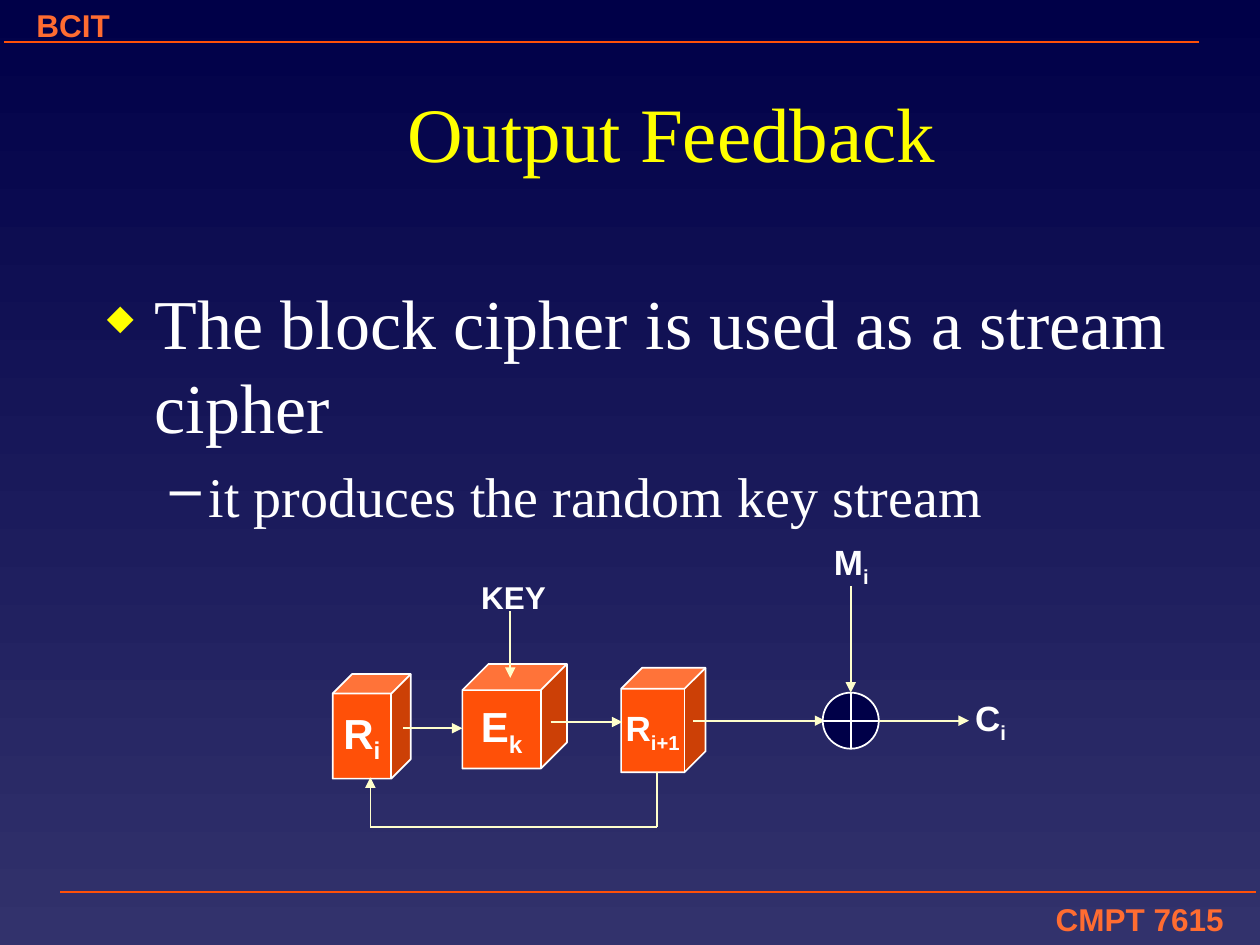
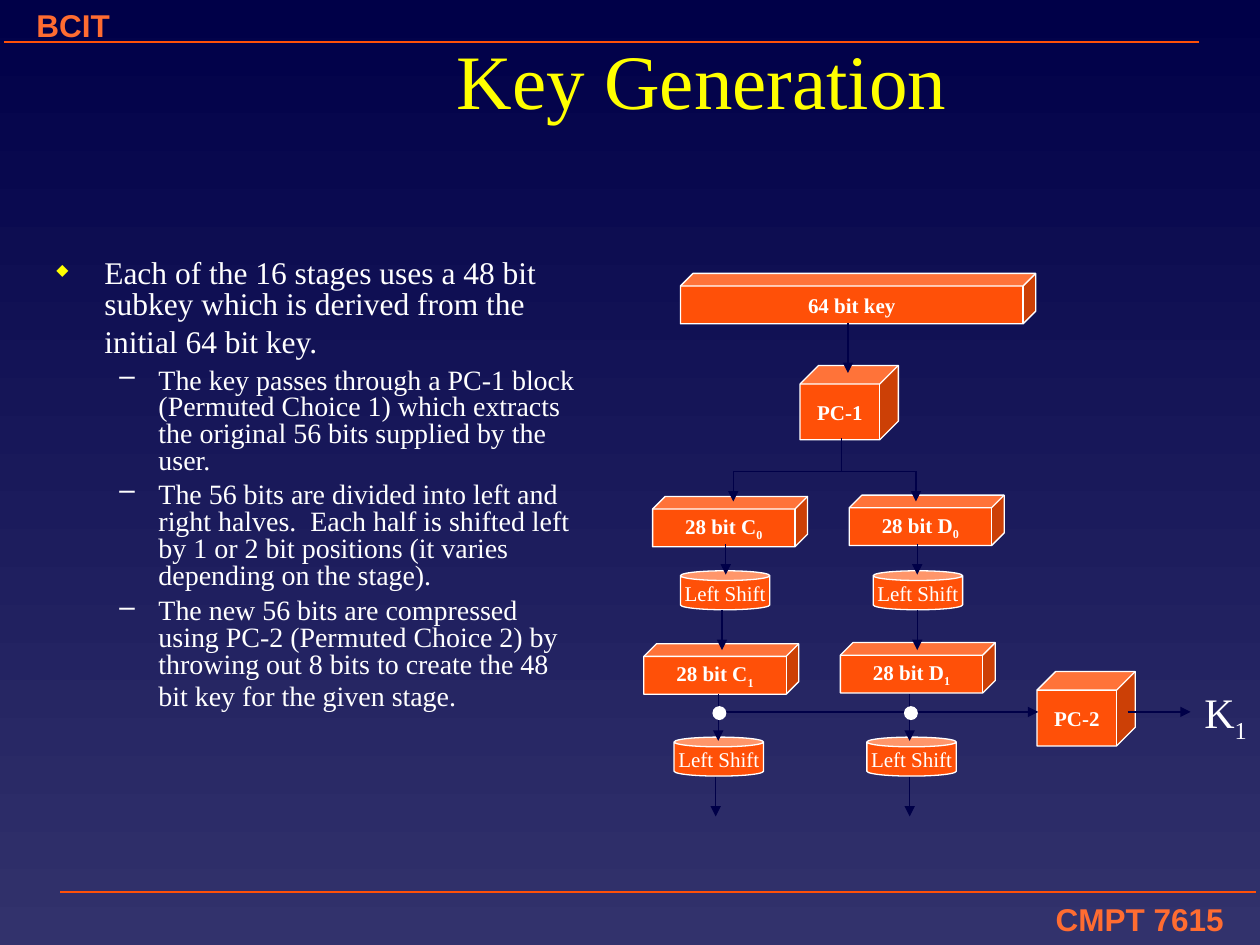
from collections import namedtuple

from lxml import etree
from pptx import Presentation
from pptx.dml.color import RGBColor
from pptx.enum.shapes import MSO_CONNECTOR, MSO_SHAPE
from pptx.enum.text import MSO_ANCHOR, MSO_AUTO_SIZE, PP_ALIGN
from pptx.oxml.ns import qn
from pptx.util import Inches, Pt

CUBE, CAN, OVAL = MSO_SHAPE.CUBE, MSO_SHAPE.CAN, MSO_SHAPE.OVAL
STRAIGHT = MSO_CONNECTOR.STRAIGHT
TOP, MIDDLE = MSO_ANCHOR.TOP, MSO_ANCHOR.MIDDLE
LEFT, CENTER, RIGHT = PP_ALIGN.LEFT, PP_ALIGN.CENTER, PP_ALIGN.RIGHT
GROW, FIXED = MSO_AUTO_SIZE.SHAPE_TO_FIT_TEXT, MSO_AUTO_SIZE.NONE

WIDTH, HEIGHT = Inches(10), Inches(7.5)
COLS, ROWS = 100, 75
COL, ROW = WIDTH / COLS, HEIGHT / ROWS

COLORS = {
    "navy": "000048", "dusk": "32326C", "orange": "FF5008", "coral": "FF6C31",
    "yellow": "FFFF00", "white": "FFFFFF", "cream": "FFFFCC",
}
SANS, SERIF = "Arial", "Times New Roman"

Box = namedtuple("Box", "x y w h")
SLIDE = Box(0, 0, COLS, ROWS)


def rgb(name):
    return RGBColor.from_string(COLORS[name])


def font(size, name=SERIF, bold=False):
    return {"name": name, "size": Pt(size), "bold": bold}


def place(box, x, y, w, h):
    return [round(v) for v in ((box.x + x) * COL, (box.y + y) * ROW, w * COL, h * ROW)]


def add_run(p, text, fmt, color="white", sub=False):
    r = p.add_run()
    r.text = text
    for key, value in fmt.items():
        setattr(r.font, key, value)
    r.font.color.rgb = rgb(color)
    if sub:
        r.font._element.set("baseline", "-25000")


def write(p, text, fmt, color="white", align=LEFT):
    p.alignment = align
    main, _, sub = text.partition("_")
    add_run(p, main, fmt, color)
    if sub:
        add_run(p, sub, fmt, color, sub=True)


def frame(sp, **values):
    for key, value in values.items():
        setattr(sp.text_frame, key, value)
    return sp.text_frame


def add_text(s, box, part, text, fmt, color="white", align=LEFT,
             wrap=False, anchor=TOP, size=GROW):
    sp = s.shapes.add_textbox(*place(box, *part))
    tf = frame(sp, word_wrap=wrap, vertical_anchor=anchor, auto_size=size)
    write(tf.paragraphs[0], text, fmt, color, align)


def add_shape(s, box, kind, part, text="", fmt=None, fill="orange", width=0.75):
    sp = s.shapes.add_shape(kind, *place(box, *part))
    sp.shadow.inherit = False
    sp.fill.solid()
    sp.fill.fore_color.rgb = rgb(fill)
    sp.line.color.rgb = rgb("white")
    sp.line.width = Pt(width)
    if text:
        tf = frame(sp, word_wrap=False, vertical_anchor=MIDDLE)
        write(tf.paragraphs[0], text, fmt, align=CENTER)


def add_line(s, box, ends, color, width=1.0, arrow=True):
    x1, y1, x2, y2 = ends
    start, end = place(box, x1, y1, 0, 0)[:2], place(box, x2, y2, 0, 0)[:2]
    cn = s.shapes.add_connector(STRAIGHT, *start, *end)
    cn.line.color.rgb = rgb(color)
    cn.line.width = Pt(width)
    if arrow:
        etree.SubElement(cn.line._get_or_add_ln(), qn("a:tailEnd"), type="triangle")
    etree.SubElement(cn._element.spPr, qn("a:effectLst"))


def set_bullet(p, level):
    char, color, margin, hang = (("◆", "yellow", 0.38, 0.38),
                                 ("–", "white", 0.81, 0.31))[level]
    p.level = level
    pPr = p._p.get_or_add_pPr()
    pPr.set("marL", str(Inches(margin)))
    pPr.set("indent", str(-Inches(hang)))
    clr = etree.SubElement(pPr, qn("a:buClr"))
    etree.SubElement(clr, qn("a:srgbClr"), val=COLORS[color])
    if level == 0:
        etree.SubElement(pPr, qn("a:buSzPct"), val="50000")
    etree.SubElement(pPr, qn("a:buChar"), char=char)


def add_body(s, box, items, spacing=1.0):
    tf = frame(s.shapes.add_textbox(*place(box, 0, 0, box.w, box.h)), word_wrap=True)
    for i, (level, size, before, text, end_size) in enumerate(items):
        p = tf.add_paragraph() if i else tf.paragraphs[0]
        set_bullet(p, level)
        p.line_spacing = spacing
        p.space_before = Pt(before)
        write(p, text, font(size))
        if end_size:
            add_run(p, " ", font(end_size))


def add_band(s, box, text, text_x, text_y, rule_y, rule_x, align):
    add_text(s, box, (text_x, text_y, 45.1, 4), text, font(18, SANS, True),
             "coral", align, wrap=True)
    add_line(s, box, (rule_x + 94.9, rule_y, rule_x, rule_y), "orange", arrow=False)


def base_slide(prs, title, title_box):
    s = prs.slides.add_slide(prs.slide_layouts[6])
    fill = s.background.fill
    fill.gradient()
    fill.gradient_angle = 270
    for stop, (position, color) in zip(fill.gradient_stops, ((0, "navy"), (1, "dusk"))):
        stop.position = position
        stop.color.rgb = rgb(color)
    add_band(s, SLIDE, "CMPT 7615", 53, 70.9, 70.82, 4.8, RIGHT)
    add_band(s, SLIDE, "BCIT", 1.9, 0, 3.34, 0.3, LEFT)
    add_text(s, title_box, (0, 0, title_box.w, title_box.h), title, font(44),
             "yellow", CENTER, wrap=True, anchor=MIDDLE, size=FIXED)
    return s


def feedback_loop(s, box):
    for text, size, part in (
        ("R_i", 24, (0, 11.1, 6.2, 8.3)),
        ("E_k", 24, (10.3, 10.3, 8.3, 8.3)),
        ("R_i+1", 20, (22.9, 10.6, 6.7, 8.3)),
    ):
        add_shape(s, box, CUBE, part, text, font(size, SANS, True), width=1)
    for ends in ((5.6, 15.4, 10.3, 15.4), (17.3, 14.9, 23, 14.9),
                 (14.1, 6.1, 14.1, 11.4), (28.6, 14.8, 39.1, 14.8)):
        add_line(s, box, ends, "cream")
    corners = ((25.74, 18.9), (25.74, 23.24), (3, 23.24), (3, 19.3))
    for start, end in zip(corners, corners[1:]):
        add_line(s, box, start + end, "cream", arrow=end == corners[-1])
    add_text(s, box, (10.8, 3, 8, 4), "KEY", font(18, SANS, True), wrap=True)


def xor_gate(s, box):
    size, mid = 4.45, 14.8
    center = size / 2
    top, bottom = mid - center, mid + center
    add_shape(s, box, OVAL, (0, top, size, size), fill="navy", width=1)
    add_line(s, box, (0, mid, size, mid), "white", arrow=False)
    add_line(s, box, (center, top, center, bottom), "white", arrow=False)
    add_line(s, box, (center, 4.1, center, top), "cream")
    add_line(s, box, (size, mid, 11.6, mid), "cream")
    for text, x, y in (("M_i", -0.1, 0), ("C_i", 11.1, 12.4)):
        add_text(s, box, (x, y, 5.6, 4.8), text, font(20, SANS, True), wrap=True)


def key_schedule(s, box):
    bold, plain = font(12, bold=True), font(12)
    add_shape(s, box, CUBE, (3, 0.7, 28.2, 4), "64 bit key", bold)
    for text, x, y in (("PC-1", 12.5, 8), ("PC-2", 31.3, 32.3)):
        add_shape(s, box, CUBE, (x, y, 7.8, 5.9), text, bold)
    for letter, dx, dy in (("C", 0, 0), ("D", 15.6, -0.1)):
        for stage, x, y in ((0, 0.8, 18.4), (1, 0.1, 30.1)):
            add_shape(s, box, CUBE, (x + dx, y + dy, 12.3, 4),
                      f"28 bit {letter}_{stage}", bold)
    for dx in (0, 15.3):
        for x, y in ((3, 24.3), (2.5, 37.5)):
            add_shape(s, box, CAN, (x + dx, y, 7.1, 3.1), "Left Shift", plain)

    split = 16.4
    for ends in ((21.7, split, 7.2, split), (15.8, 13.8, 15.8, split)):
        add_line(s, box, ends, "navy", 0.75, arrow=False)
    drops = [(16.3, 4.6, 8.6), (7.2, split, 18.8), (21.7, split, 18.8)]
    spans = ((22.2, 24.6), (27.4, 30.6), (34.1, 37.8), (40.7, 43.8))
    for xs in ((6.6, 6.3, 6, 5.8), (21.8, 21.8, 21.2, 21.2)):
        drops += [(x, *span) for x, span in zip(xs, spans)]
    for x, start, end in drops:
        add_line(s, box, (x, start, x, end), "navy", 0.75)

    tap = 35.5
    for start, end in ((6.1, 31.4), (38.5, 43.5)):
        add_line(s, box, (start, tap, end, tap), "navy", 0.75)
    for x in (5.6, 20.8):
        add_shape(s, box, OVAL, (x, 35.1, 1, 1), fill="white")
    add_text(s, box, (43.6, 33, 5.4, 5.6), "K_1", font(24))


def output_feedback(prs):
    s = base_slide(prs, "Output Feedback", Box(10.8, 4.2, 85, 12.5))
    add_body(s, Box(7.5, 21.7, 90.4, 27.7), (
        (0, 40, 0, "The block cipher is used as a stream cipher", None),
        (1, 32, 8, "it produces the random key stream", None),
    ))
    feedback_loop(s, Box(26.4, 42.4, 29.6, 23.2))
    xor_gate(s, Box(65.3, 42.4, 16.7, 17.2))


def key_generation(prs):
    s = base_slide(prs, "Key Generation", Box(13.2, 0, 85, 12.5))
    add_body(s, Box(3.5, 20.2, 43.4, 41.5), (
        (0, 18, 0, "Each of the 16 stages uses a 48 bit subkey which is derived "
                   "from the initial 64 bit key.", 24),
        (1, 16, 4, "The key passes through a PC-1 block (Permuted Choice 1) which "
                   "extracts the original 56 bits supplied by the user.", None),
        (1, 16, 4, "The 56 bits are divided into left and right halves.  Each half is "
                   "shifted left by 1 or 2 bit positions (it varies depending on the "
                   "stage).", None),
        (1, 16, 5, "The new 56 bits are compressed using PC-2 (Permuted Choice 2) by "
                   "throwing out 8 bits to create the 48 bit key for the given stage.", 20),
    ), spacing=0.8)
    key_schedule(s, Box(51, 21, 49, 44))


def main():
    prs = Presentation()
    prs.slide_width, prs.slide_height = WIDTH, HEIGHT
    output_feedback(prs)
    key_generation(prs)
    prs.save("out.pptx")


if __name__ == "__main__":
    main()
